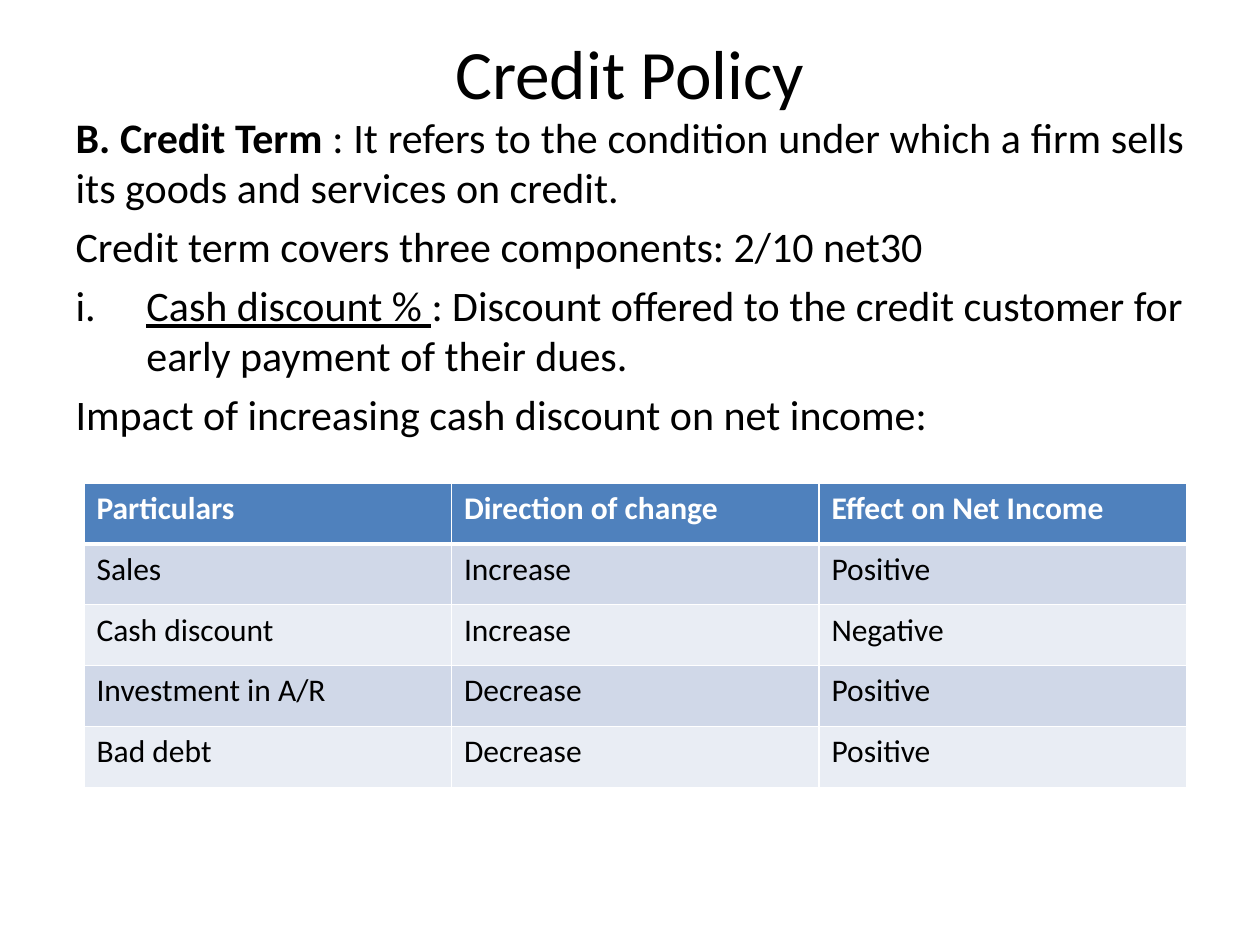
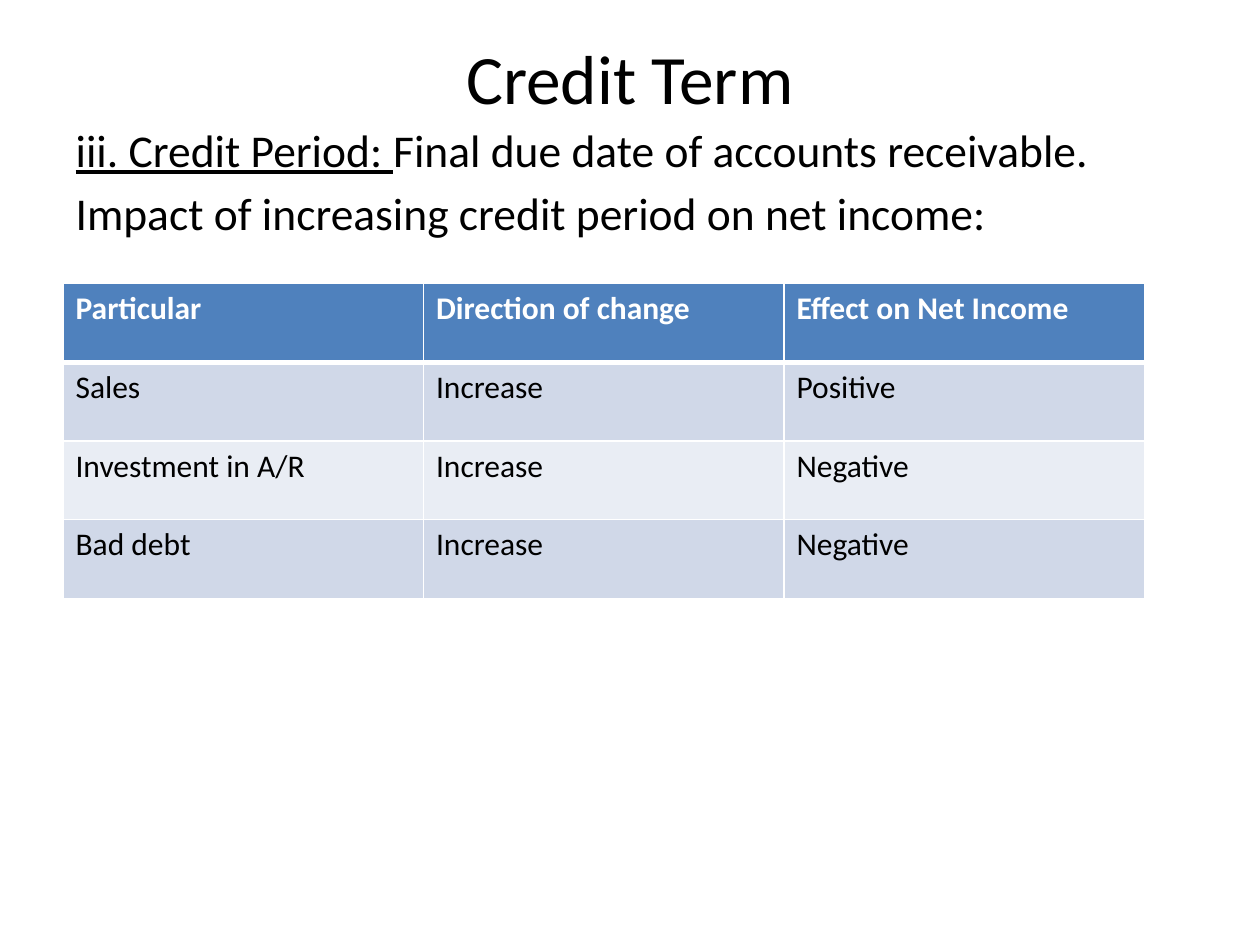
from lxml import etree
from pptx import Presentation
from pptx.dml.color import RGBColor
from pptx.enum import text
from pptx.oxml.ns import qn
from pptx.util import Pt

COLORS = {
    "ink": "000000",
    "paper": "FFFFFF",
    "header": "4F81BD",
    "odd_band": "D0D8E8",
    "even_band": "E9EDF4",
}
FONT = "Calibri"
MARGIN = 36
CONTENT_WIDTH = 648
TITLE_TOP = 21.6
BODY_BOTTOM = 482.4
NUMBER_INDENT = 40.5


def color(name):
    return RGBColor.from_string(COLORS[name])


def add_text(para, content, size, ink="ink", bold=False, underline=False):
    span = para.add_run()
    span.text = content
    font = span.font
    font.name, font.size = FONT, Pt(size)
    font.bold, font.underline = bold, underline
    font.color.rgb = color(ink)


def place(shape, left, top, width, height):
    shape.left, shape.top = Pt(left), Pt(top)
    shape.width, shape.height = Pt(width), Pt(height)
    shape.text_frame.word_wrap = True
    shape.text_frame.auto_size = text.MSO_AUTO_SIZE.NONE


def set_list_style(para, numbered):
    indent = Pt(NUMBER_INDENT) if numbered else 0
    properties = para._p.get_or_add_pPr()
    properties.set("marL", str(indent))
    properties.set("indent", str(-indent))
    if numbered:
        bullet = etree.SubElement(properties, qn("a:buAutoNum"))
        bullet.set("type", "romanLcPeriod")
    else:
        etree.SubElement(properties, qn("a:buNone"))


def fill_title(title, content, box):
    place(title, *box)
    title.text_frame.vertical_anchor = text.MSO_ANCHOR.MIDDLE
    para = title.text_frame.paragraphs[0]
    para.alignment = text.PP_ALIGN.CENTER
    add_text(para, content, size=39.6)


def fill_body(body, items, size, box):
    place(body, *box)
    frame = body.text_frame
    for index, item in enumerate(items):
        para = frame.paragraphs[0] if index == 0 else frame.add_paragraph()
        if item.get("justified"):
            para.alignment = text.PP_ALIGN.JUSTIFY
        set_list_style(para, item.get("numbered", False))
        for content, style in item["spans"]:
            add_text(para, content, size, **style)


def set_borders(cell, bottom):
    properties = cell._tc.get_or_add_tcPr()
    for side, width in (("L", 1), ("R", 1), ("T", 1), ("B", bottom)):
        line = etree.SubElement(properties, qn(f"a:ln{side}"), w=str(Pt(width)))
        fill = etree.SubElement(line, qn("a:solidFill"))
        etree.SubElement(fill, qn("a:srgbClr"), val=COLORS["paper"])


def add_effect_table(page, rows, box):
    left, top, width, height = box
    column_count = len(rows[0])
    frame = page.shapes.add_table(
        len(rows), column_count, Pt(left), Pt(top), Pt(width), Pt(height)
    )
    table = frame.table
    for column in table.columns:
        column.width = Pt(width / column_count)
    for row_index, values in enumerate(rows):
        table.rows[row_index].height = Pt(height / len(rows))
        is_header = row_index == 0
        band = "header" if is_header else "odd_band" if row_index % 2 else "even_band"
        for column_index, value in enumerate(values):
            cell = table.cell(row_index, column_index)
            set_borders(cell, bottom=3 if is_header else 1)
            cell.fill.solid()
            cell.fill.fore_color.rgb = color(band)
            add_text(
                cell.text_frame.paragraphs[0], value, size=18,
                ink="paper" if is_header else "ink", bold=is_header,
            )


def add_credit_page(deck, title, title_height, items, body_size, rows, table_box):
    page = deck.slides.add_slide(deck.slide_layouts[1])
    body_top = TITLE_TOP + title_height
    fill_title(page.shapes.title, title,
               (MARGIN, TITLE_TOP, CONTENT_WIDTH, title_height))
    fill_body(page.placeholders[1], items, body_size,
              (MARGIN, body_top, CONTENT_WIDTH, BODY_BOTTOM - body_top))
    add_effect_table(page, rows, table_box)


def main():
    deck = Presentation()
    deck.slide_width, deck.slide_height = Pt(720), Pt(540)
    headings = ("Direction of change", "Effect on Net Income")

    add_credit_page(
        deck, "Credit Policy", 38.4,
        items=[
            {"justified": True, "spans": [
                ("B. Credit Term ", {"bold": True}),
                (": It refers to the condition under which a firm sells "
                 "its goods and services on credit.", {}),
            ]},
            {"justified": True, "spans": [
                ("Credit term covers three components: 2/10 net30", {}),
            ]},
            {"numbered": True, "spans": [
                ("Cash discount % ", {"underline": True}),
                (": Discount offered to the credit customer for early "
                 "payment of their dues.", {}),
            ]},
            {"spans": [("Impact of increasing cash discount on net income:", {})]},
        ],
        body_size=24,
        rows=[
            ("Particulars", *headings),
            ("Sales", "Increase", "Positive"),
            ("Cash discount", "Increase", "Negative"),
            ("Investment in A/R", "Decrease", "Positive"),
            ("Bad debt", "Decrease", "Positive"),
        ],
        table_box=(48, 276, 630, 174),
    )

    add_credit_page(
        deck, "Credit Term", 44.4,
        items=[
            {"spans": [
                ("iii. Credit Period: ", {"underline": True}),
                ("Final due date of accounts receivable.", {}),
            ]},
            {"spans": [("Impact of increasing credit period on net income:", {})]},
        ],
        body_size=26,
        rows=[
            ("Particular", *headings),
            ("Sales", "Increase", "Positive"),
            ("Investment in A/R", "Increase", "Negative"),
            ("Bad debt", "Increase", "Negative"),
        ],
        table_box=(36, 162, 618, 180),
    )

    deck.save("out.pptx")


if __name__ == "__main__":
    main()
